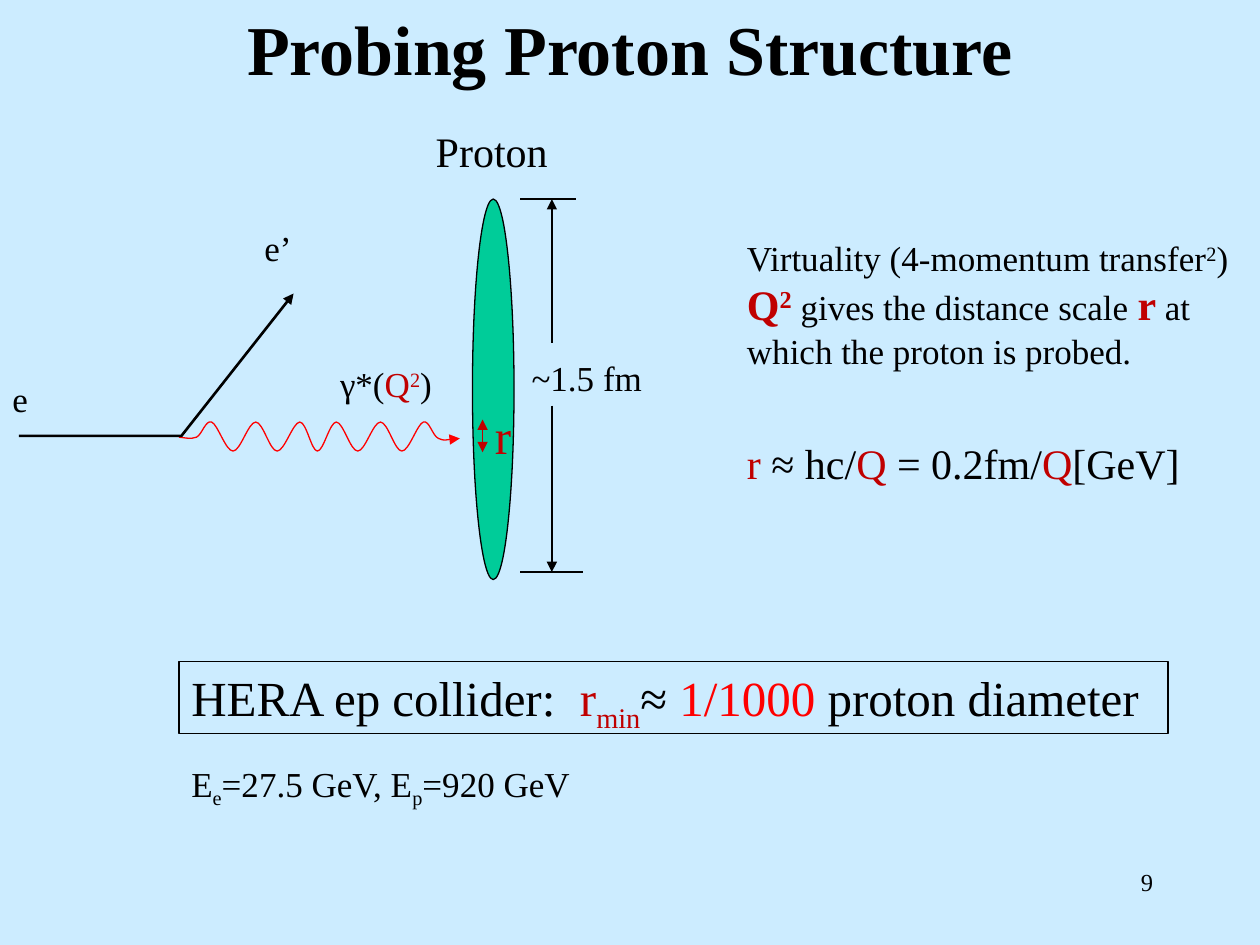
import pptx
import pptx.util
import pptx.dml.color
import pptx.enum.shapes
import pptx.enum.text
import pptx.oxml.ns
import lxml.etree

Inches = pptx.util.Inches
Kind = pptx.enum.shapes.MSO_SHAPE
Align = pptx.enum.text.PP_ALIGN
Fit = pptx.enum.text.MSO_AUTO_SIZE
Anchor = pptx.enum.text.MSO_ANCHOR
qn = pptx.oxml.ns.qn

BLACK, RED, DARK = "000000", "FF0000", "C00000"


def paint(code):
    return pptx.dml.color.RGBColor.from_string(code)


class Deck:
    font = "Times New Roman"

    def __init__(self, back):
        self.file = pptx.Presentation()
        self.file.slide_width, self.file.slide_height = Inches(10), Inches(7.5)
        self.slide = self.file.slides.add_slide(self.file.slide_layouts[6])
        self.slide.background.fill.solid()
        self.slide.background.fill.fore_color.rgb = paint(back)
        self.shapes = self.slide.shapes

    def stroke(self, shape, hue, width=0.75, head=False, tail=False):
        shape.line.color.rgb = paint(hue)
        shape.line.width = pptx.util.Pt(width)
        line = shape.line._get_or_add_ln()
        for name, used in (("a:headEnd", head), ("a:tailEnd", tail)):
            if used:
                lxml.etree.SubElement(line, qn(name), type="triangle")

    def fill(self, shape, runs, size, wrap=False, grow=True,
             align=Align.LEFT, anchor=Anchor.TOP):
        frame = shape.text_frame
        frame.word_wrap = wrap
        frame.auto_size = Fit.SHAPE_TO_FIT_TEXT if grow else Fit.NONE
        frame.vertical_anchor = anchor
        par = frame.paragraphs[0]
        par.alignment = align
        for text, *style in runs:
            self.run(par, text, size, *style)

    def run(self, par, text, size, hue=BLACK, base=0, big=0):
        run = par.add_run()
        run.text = text
        run.font.name = self.font
        run.font.size = pptx.util.Pt(big or size)
        run.font.bold = bool(big)
        run.font.color.rgb = paint(hue)
        if base:
            run._r.get_or_add_rPr().set("baseline", str(base * 1000))

    def text(self, box, runs, size, **style):
        shape = self.shapes.add_textbox(*map(Inches, box))
        self.fill(shape, runs, size, **style)

    def shape(self, kind, box, hue=None):
        shape = self.shapes.add_shape(kind, *map(Inches, box))
        shape.shadow.inherit = False
        if hue:
            shape.fill.solid()
            shape.fill.fore_color.rgb = paint(hue)
        else:
            shape.fill.background()
        self.stroke(shape, BLACK)
        return shape

    def line(self, start, end, hue=BLACK, **ends):
        link = self.shapes.add_connector(
            pptx.enum.shapes.MSO_CONNECTOR.STRAIGHT, *map(Inches, start + end))
        self.stroke(link, hue, **ends)
        lxml.etree.SubElement(link._element.spPr, qn("a:effectLst"))

    def track(self, dots, hue, width):
        spots = [(Inches(x), Inches(y)) for x, y in dots]
        maker = self.shapes.build_freeform(*spots[0])
        maker.add_line_segments(spots[1:], close=False)
        shape = maker.convert_to_shape()
        shape.shadow.inherit = False
        shape.fill.background()
        self.stroke(shape, hue, width, tail=True)
        return shape

    def curve(self, knots, hue, width):
        ends = [knots[0], *knots, knots[-1]]
        dots = [knots[0]]
        for a, b, c, d in zip(ends, ends[1:], ends[2:], ends[3:]):
            dots.append(tuple(q + (r - p) / 6 for p, q, r in zip(a, b, c)))
            dots.append(tuple(q - (r - p) / 6 for p, q, r in zip(b, c, d)))
            dots.append(c)
        shape = self.track(dots, hue, width)
        route = shape._element.find(".//" + qn("a:path"))
        steps = route.findall(qn("a:lnTo"))
        for n in range(0, len(steps), 3):
            bend = lxml.etree.SubElement(route, qn("a:cubicBezTo"))
            for step in steps[n:n + 3]:
                bend.append(step[0])
                route.remove(step)


def main():
    deck = Deck("CCECFF")
    deck.text((0.75, 0, 8.5, 0.75),
              [("Probing Proton Structure", BLACK, 0, 40)], 40, wrap=True,
              grow=False, align=Align.CENTER, anchor=Anchor.MIDDLE)

    deck.shape(Kind.OVAL, (3.75, 1.58, 0.33, 3.02), "00CC99")
    deck.text((3.83, 3.17, 0.33, 0.57), [("r", DARK)], 28)

    peaks = (1.68, 2.03, 2.38, 2.67, 3.02, 3.36)
    dips = (1.85, 2.2, 2.52, 2.84, 3.19)
    waves = sorted([(x, 3.35) for x in peaks] + [(x, 3.58) for x in dips])
    deck.curve([(1.42, 3.47), (1.56, 3.47), *waves, (3.48, 3.48), (3.65, 3.48)],
               RED, 0.75)
    deck.track([(0.15, 3.46), (1.44, 3.46), (2.33, 2.33)], BLACK, 1.5)
    deck.line((3.83, 3.33), (3.83, 3.59), DARK, head=True, tail=True)

    for right, gap, edge in ((4.57, 2.72, 1.58), (4.63, 3.22, 4.54)):
        deck.line((4.13, edge), (right, edge))
        deck.line((4.38, gap), (4.38, edge), tail=True)

    deck.text((2.6, 2.83, 0.95, 0.44),
              [("γ*(",), ("Q", DARK), ("2", DARK, 30), (")",)], 20)
    for box, word, size in (
            ((0, 2.95, 0.38, 0.5), "e", 20),
            ((2, 1.75, 0.44, 0.5), "e’", 20),
            ((4.12, 2.78, 1.09, 0.44), "~1.5 fm", 20),
            ((3.36, 0.95, 1.1, 0.5), "Proton", 24)):
        deck.text(box, [(word,)], size)

    deck.text((5.83, 1.83, 4.17, 1.18), [
        ("Virtuality (4-momentum transfer",), ("2", BLACK, 30), (") ",),
        ("Q", DARK, 0, 24), ("2", DARK, 30, 24),
        (" gives the distance scale ",), ("r", DARK, 0, 24),
        (" at which the proton is probed.",)], 20, wrap=True)
    deck.text((5.83, 3.42, 4, 0.5), [
        ("r ", DARK), ("≈ hc/",), ("Q", DARK), (" = 0.2fm/",),
        ("Q", DARK), ("[GeV]",)], 24, wrap=True)

    frame = deck.shape(Kind.RECTANGLE, (1.42, 5.25, 7.85, 0.57))
    deck.fill(frame, [
        ("HERA ep collider:  ",), ("r", DARK), ("min", DARK, -25), ("≈ ",),
        ("1/1000", RED), (" proton diameter",)], 28)
    deck.text((1.42, 6, 3.27, 0.44), [
        ("E",), ("e", BLACK, -25), ("=27.5 GeV, E",), ("p", BLACK, -25),
        ("=920 GeV",)], 20)
    deck.text((7.17, 6.83, 2.08, 0.5), [("9",)], 14, wrap=True, grow=False,
              align=Align.RIGHT)
    deck.file.save("out.pptx")


if __name__ == "__main__":
    main()
